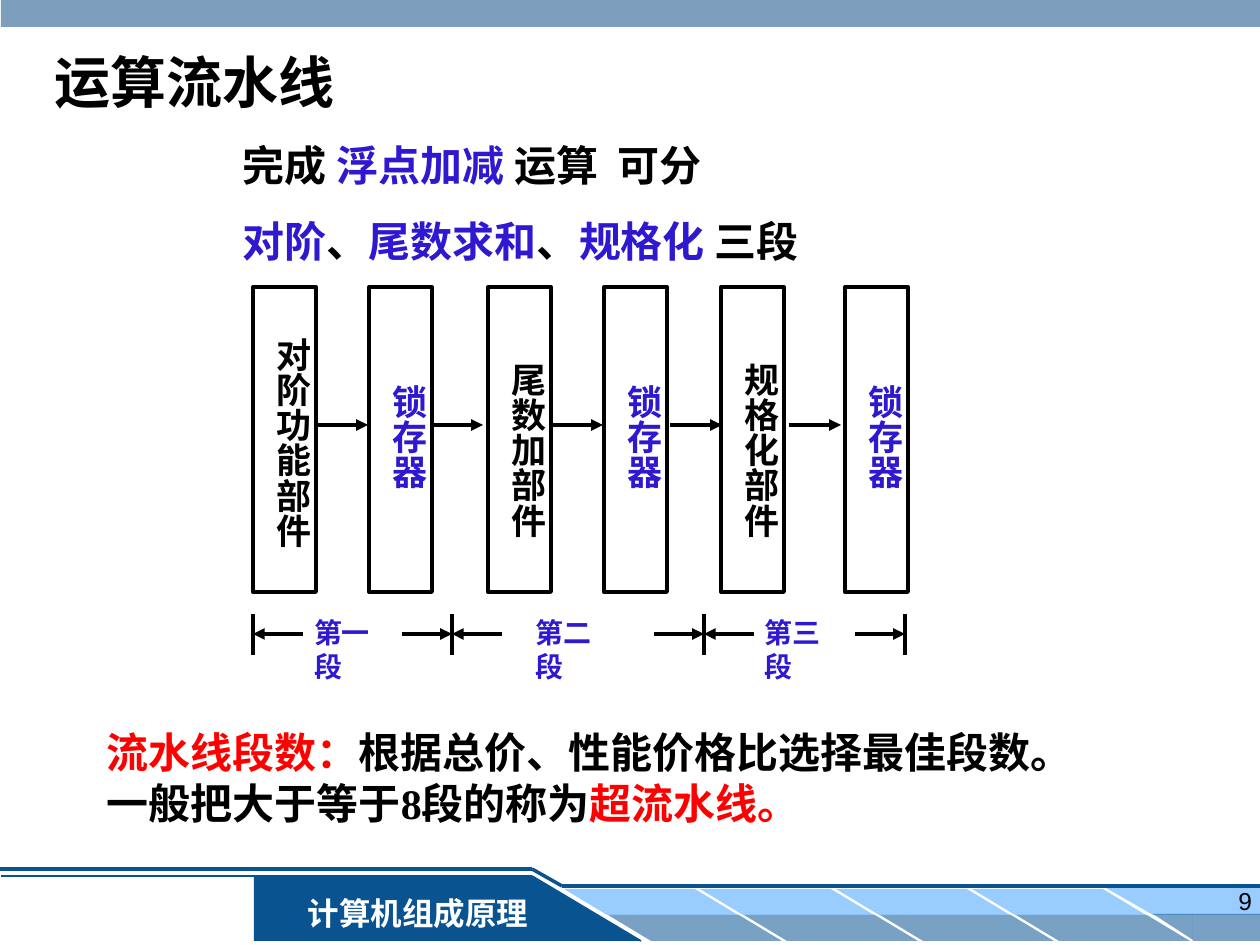
from dataclasses import dataclass

from lxml.etree import SubElement
from pptx import Presentation
from pptx.dml.color import RGBColor
from pptx.enum.shapes import MSO_CONNECTOR, MSO_SHAPE
from pptx.enum.text import MSO_ANCHOR, MSO_AUTO_SIZE, PP_ALIGN
from pptx.oxml.ns import qn
from pptx.util import Pt


@dataclass(frozen=True)
class Theme:
    black: str = "000000"
    white: str = "FFFFFF"
    violet: str = "2E18D0"
    red: str = "FF0000"
    navy: str = "095391"
    sky: str = "99CCFF"
    steel: str = "336699"
    serif: str = "Times New Roman"
    sans: str = "Arial"
    title: int = 32
    body: int = 24
    unit: int = 20
    foot: int = 18
    stage: int = 16
    number: int = 14
    stroke: float = 2.25


def px(n):
    """Turn px (126 to the inch) into EMU."""
    return round(n * 914400 / 126)


class Deck:
    def __init__(self, theme):
        self.theme = theme
        self.show = Presentation()
        self.show.slide_width, self.show.slide_height = px(1260), px(945)
        self.slide = self.show.slides.add_slide(self.show.slide_layouts[6])

    def shape(self, kind, box, color=None, alpha=None, flip="", adj=None):
        """Add a filled shape, or an outlined one when no colour is given."""
        item = self.slide.shapes.add_shape(kind, *map(px, box))
        item.shadow.inherit = False
        if color:
            item.fill.solid()
            item.fill.fore_color.rgb = RGBColor.from_string(color)
            item.line.fill.background()
        else:
            item.fill.background()
            item.line.color.rgb = RGBColor.from_string(self.theme.black)
            item.line.width = Pt(self.theme.stroke)
        if alpha:
            tint = item.element.spPr.find(qn("a:solidFill"))[0]
            SubElement(tint, qn("a:alpha"), val=str(alpha * 1000))
        for axis in flip:
            item.element.spPr.find(qn("a:xfrm")).set("flip" + axis, "1")
        if adj:
            item.adjustments[0] = adj
        return item

    def line(self, start, end, color=None, width=None, arrow=False):
        item = self.slide.shapes.add_connector(
            MSO_CONNECTOR.STRAIGHT, *map(px, start + end))
        item.line.color.rgb = RGBColor.from_string(color or self.theme.black)
        item.line.width = Pt(width or self.theme.stroke)
        if arrow:
            stroke = item.element.spPr.find(qn("a:ln"))
            SubElement(stroke, qn("a:tailEnd"), type="triangle")
        SubElement(item.element.spPr, qn("a:effectLst"))

    def text(self, box, paras, size, **style):
        item = self.slide.shapes.add_textbox(*map(px, box))
        self.label(item, paras, size, **style)

    def label(self, item, paras, size, font=None, bold=True, wrap=False,
              align=PP_ALIGN.LEFT, anchor=MSO_ANCHOR.TOP, inset=(13, 6),
              gap=None, before=None, vert=False, grow=False):
        """Fill a shape with paragraphs, each a list of (text, colour)."""
        frame = item.text_frame
        frame.word_wrap = wrap
        frame.auto_size = MSO_AUTO_SIZE.SHAPE_TO_FIT_TEXT if grow else MSO_AUTO_SIZE.NONE
        frame.vertical_anchor = anchor
        frame.margin_left = frame.margin_right = px(inset[0])
        frame.margin_top = frame.margin_bottom = px(inset[1])
        if vert:
            item.element.txBody.find(qn("a:bodyPr")).set("vert", "eaVert")
        for i, runs in enumerate(paras):
            para = frame.add_paragraph() if i else frame.paragraphs[0]
            para.alignment = align
            if gap:
                para.line_spacing = gap
            if before:
                para.space_before = Pt(before)
            for words, color in runs:
                run = para.add_run()
                run.text = words
                run.font.size, run.font.bold = Pt(size), bold
                run.font.name = font or self.theme.serif
                run.font.color.rgb = RGBColor.from_string(color)


def frame(deck):
    """Draw the top bar, the footer band and the page number."""
    t = deck.theme
    rect, wedge = MSO_SHAPE.RECTANGLE, MSO_SHAPE.RIGHT_TRIANGLE
    deck.shape(rect, (254, 876, 277, 65), t.navy)
    deck.line((641, 941), (532, 876), t.navy, 1)
    deck.line((532, 876), (1, 876), t.navy, 1.5)
    deck.line((-1, 869), (532, 869), t.navy, 2)
    for left in range(564, 1108, 136):
        for x, y, color, alpha in ((left, 889, t.sky, None),
                                   (left + 44, 915, t.navy, 54)):
            deck.shape(MSO_SHAPE.PARALLELOGRAM, (x, y, 174, 26), color, alpha,
                       flip="H", adj=1.66)
    deck.shape(rect, (1152, 888, 108, 27), t.sky)
    deck.shape(wedge, (1106, 888, 47, 27), t.sky, flip="HV")
    deck.shape(rect, (1193, 914, 68, 27), t.navy, 54)
    deck.shape(wedge, (1153, 914, 40, 26), t.navy, 54, flip="HV")
    deck.line((562, 886), (1261, 886), t.navy, 2)
    course = deck.shape(rect, (289, 888, 258, 51), t.navy)
    deck.label(course, [[("计算机组成原理", t.white)]], t.foot, wrap=True,
               align=PP_ALIGN.CENTER, before=11.2, grow=True)
    deck.shape(wedge, (531, 876, 109, 65), t.navy)
    deck.line((532, 869), (562, 886), t.navy, 2)
    deck.shape(rect, (1, -4, 1260, 31), t.steel, 63)
    deck.text((972, 880, 293, 65), [[("9", t.black)]], t.number, font=t.sans,
              bold=False, wrap=True, align=PP_ALIGN.RIGHT)


def words(deck):
    t = deck.theme
    flush = {"anchor": MSO_ANCHOR.MIDDLE, "inset": (0, 6)}
    deck.text((54, 45, 462, 73), [[("运算流水线", t.black)]], t.title, **flush)
    deck.text((243, 106, 892, 168), [
        [("完成 ", t.black), ("浮点加减 ", t.violet), ("运算  可分", t.black)],
        [("对阶", t.violet), ("、", t.black), ("尾数求和", t.violet),
         ("、", t.black), ("规格化 ", t.violet), ("三段", t.black)],
    ], t.body, gap=1.5, **flush)
    deck.text((94, 721, 1032, 113), [[
        ("流水线段数：", t.red),
        ("根据总价、性能价格比选择最佳段数。一般把大于等于8段的称为", t.black),
        ("超流水线。", t.red),
    ]], t.body, wrap=True, grow=True)


def pipe(deck):
    """Draw the units and latches, the arrows between them and the stage marks."""
    t = deck.theme
    latch = ("锁存器", t.violet, 372, 118)
    units = (
        (253, ("对阶功能部件", t.black, 325, 223)), (369, latch),
        (488, ("尾数加部件", t.black, 350, 188)), (604, latch),
        (721, ("规格化部件", t.black, 350, 188)), (845, latch),
    )
    for left, (name, color, top, tall) in units:
        deck.text((left, top, 67, tall), [[(name, color)]], t.unit,
                  inset=(6, 13), vert=True, grow=True)
        deck.shape(MSO_SHAPE.RECTANGLE, (left, 287, 63, 305))
    for x in (316, 431, 551, 670, 789):
        deck.line((x, 425), (x + 52, 425), arrow=True)

    marks = (253, 452, 704, 905)
    for x in marks:
        deck.line((x, 614), (x, 655))
    stages = zip(marks, marks[1:], (301, 523, 752), ("第一段", "第二段", "第三段"))
    for start, end, left, name in stages:
        deck.line((start + 50, 634), (start, 634), arrow=True)
        deck.line((end - 50, 634), (end, 634), arrow=True)
        deck.text((left, 610, 108, 47), [[(name, t.violet)]], t.stage, grow=True)


def main():
    deck = Deck(Theme())
    frame(deck)
    words(deck)
    pipe(deck)
    deck.show.save("out.pptx")


if __name__ == "__main__":
    main()
